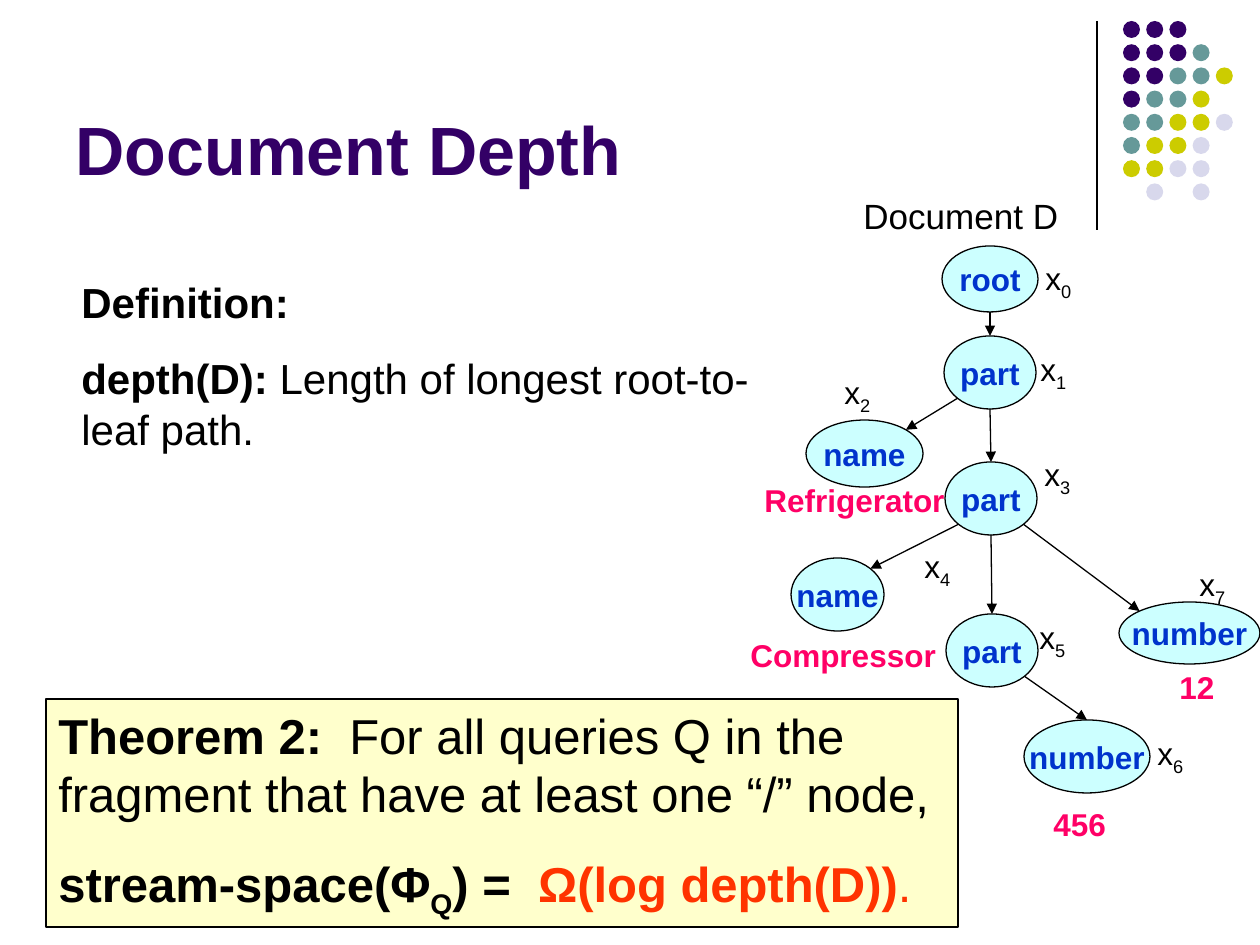
from lxml.etree import SubElement
from pptx import Presentation
from pptx.dml.color import RGBColor
from pptx.enum.shapes import MSO_CONNECTOR as Connector, MSO_SHAPE as Shape
from pptx.enum.text import MSO_ANCHOR as Anchor, MSO_AUTO_SIZE as AutoSize, PP_ALIGN as Align
from pptx.oxml.ns import qn
from pptx.util import Pt

EMU_PER_PX = 914400 / 126
DIAGONAL = 0.7071

BLACK = RGBColor(0x00, 0x00, 0x00)
PURPLE = RGBColor(0x33, 0x00, 0x66)
TEAL = RGBColor(0x66, 0x99, 0x99)
OLIVE = RGBColor(0xCC, 0xCC, 0x00)
LAVENDER = RGBColor(0xD8, 0xD8, 0xEC)
CYAN = RGBColor(0xCC, 0xFF, 0xFF)
BLUE = RGBColor(0x00, 0x33, 0xCC)
PINK = RGBColor(0xFF, 0x00, 0x66)
CREAM = RGBColor(0xFF, 0xFF, 0xCC)
RED = RGBColor(0xFF, 0x33, 0x00)

DOT_COLORS = {"P": PURPLE, "T": TEAL, "O": OLIVE, "L": LAVENDER}
DOT_ROWS = ["PPP", "PPPT", "PPTTO", "PTTO", "TTOOL", "TOOL", "OOLL", ".L.L"]

NODES = {
    "x0": ("root", 204, 58, 96, 66),
    "x1": ("part", 206, 148, 92, 73),
    "x2": ("name", 68, 232, 117, 67),
    "x3": ("part", 207, 274, 92, 73),
    "x4": ("name", 53, 370, 93, 73),
    "x5": ("part", 208, 426, 92, 73),
    "x6": ("number", 286, 532, 126, 73),
    "x7": ("number", 381, 414, 141, 62),
}
NODE_LABELS = {
    "x0": (295, 65), "x1": (290, 156), "x2": (94, 179), "x3": (294, 261),
    "x4": (174, 353), "x5": (289, 424), "x6": (407, 540), "x7": (449, 371),
}
VALUES = [
    ("Refrigerator", 14, 287, 219),
    ("Compressor", 0, 442, 212),
    ("12", 429, 474, 93),
    ("456", 303, 611, 93),
]
TOP, BOTTOM = (0, -1), (0, 1)
TOP_LEFT, TOP_RIGHT = (-DIAGONAL, -DIAGONAL), (DIAGONAL, -DIAGONAL)
BOTTOM_LEFT, BOTTOM_RIGHT = (-DIAGONAL, DIAGONAL), (DIAGONAL, DIAGONAL)
EDGES = [
    ("x0", BOTTOM, "x1", TOP),
    ("x1", BOTTOM_LEFT, "x2", TOP_RIGHT),
    ("x1", BOTTOM, "x3", TOP),
    ("x3", BOTTOM_LEFT, "x4", TOP_RIGHT),
    ("x3", BOTTOM, "x5", TOP),
    ("x3", BOTTOM_RIGHT, "x7", TOP_LEFT),
    ("x5", BOTTOM_RIGHT, "x6", TOP),
]


def px(*lengths):
    """Turn pixel lengths into EMU."""
    return [round(length * EMU_PER_PX) for length in lengths]


def format_paragraph(paragraph, size, color, bold=None, before=0):
    """Set the font and spacing shared by all runs of a paragraph."""
    paragraph.space_before = Pt(before)
    font = paragraph.font
    font.name, font.size, font.bold = "Arial", Pt(size), bold
    font.color.rgb = color


def add_run(paragraph, text, bold=None, color=None, subscript=False):
    """Append a run with its own differences from the paragraph."""
    run = paragraph.add_run()
    run.text = text
    if bold is not None:
        run.font.bold = bold
    if color is not None:
        run.font.color.rgb = color
    if subscript:
        run.font._element.set("baseline", "-25000")


def add_text(slide, box, size, color=BLACK, bold=None, before=0, lines=()):
    """Add a wrapped text box whose lines are lists of run arguments."""
    shape = slide.shapes.add_textbox(*px(*box))
    frame = shape.text_frame
    frame.word_wrap = True
    for index, runs in enumerate(lines):
        paragraph = frame.add_paragraph() if index else frame.paragraphs[0]
        format_paragraph(paragraph, size, color, bold, before)
        for run in runs:
            add_run(paragraph, *run)
    return shape


def add_ellipse(shapes, box, fill):
    """Add a filled ellipse without shadow or outline."""
    shape = shapes.add_shape(Shape.OVAL, *px(*box))
    shape.shadow.inherit = False
    shape.fill.solid()
    shape.fill.fore_color.rgb = fill
    shape.line.fill.background()
    return shape


def outline(line):
    """Give a line the thin black stroke."""
    line.color.rgb = BLACK
    line.width = Pt(0.75)


def add_line(slide, start, end, arrow=False):
    """Add a straight line, optionally with an arrowhead at its end."""
    connector = slide.shapes.add_connector(Connector.STRAIGHT, *px(*start, *end))
    outline(connector.line)
    if arrow:
        SubElement(connector.line._get_or_add_ln(), qn("a:tailEnd"), type="triangle")
    SubElement(connector._element.spPr, qn("a:effectLst"))


def add_ornament(slide, left, top):
    """Draw the vertical rule and the grid of coloured dots."""
    add_line(slide, (left, top), (left, top + 209))
    group = slide.shapes.add_group_shape()
    for row, codes in enumerate(DOT_ROWS):
        for column, code in enumerate(codes):
            if code in DOT_COLORS:
                box = (left + 26 + 23.2 * column, top + 23.2 * row, 17, 17)
                add_ellipse(group.shapes, box, DOT_COLORS[code])


def place_title(slide, box, text):
    """Move and format the title placeholder."""
    title = slide.shapes.title
    title.left, title.top, title.width, title.height = px(*box)
    frame = title.text_frame
    frame.text = text
    frame.word_wrap = True
    frame.auto_size = AutoSize.NONE
    frame.vertical_anchor = Anchor.BOTTOM
    paragraph = frame.paragraphs[0]
    paragraph.alignment = Align.LEFT
    format_paragraph(paragraph, 39, PURPLE, True)


def add_tree(slide, left, top):
    """Draw the document tree with its nodes, edges and labels."""
    def site(key, direction):
        """Find the point of a node's outline in a direction."""
        _, x, y, width, height = NODES[key]
        return (left + x + width / 2 * (1 + direction[0]),
                top + y + height / 2 * (1 + direction[1]))

    for text, x, y, width, height in NODES.values():
        node = add_ellipse(slide.shapes, (left + x, top + y, width, height), CYAN)
        outline(node.line)
        frame = node.text_frame
        frame.text = text
        frame.word_wrap = False
        frame.vertical_anchor = Anchor.MIDDLE
        paragraph = frame.paragraphs[0]
        paragraph.alignment = Align.CENTER
        format_paragraph(paragraph, 18, BLUE, True)
    for parent, start, child, end in EDGES:
        add_line(slide, site(parent, start), site(child, end), arrow=True)
    for (letter, digit), (x, y) in NODE_LABELS.items():
        add_text(slide, (left + x, top + y, 73, 55), 18, before=11.2,
                 lines=[[(letter,), (digit, None, None, True)]])
    for text, x, y, width in VALUES:
        add_text(slide, (left + x, top + y, width, 50), 18, PINK, True, 11.2, [[(text,)]])
    add_text(slide, (left + 113, top, 234, 55), 20, before=12.5, lines=[[("Document D",)]])


def add_theorem(slide, box):
    """Add the framed theorem."""
    shape = add_text(slide, box, 28, bold=True, before=17.5, lines=[
        [("Theorem 2:  ",),
         ("For all queries Q in the fragment that have at least one “/” node,", False)],
        [("stream-space(Φ",), ("Q", None, None, True), (") =  ",),
         ("Ω(log depth(D))", None, RED), (".", False, RED)],
    ])
    shape.fill.solid()
    shape.fill.fore_color.rgb = CREAM
    outline(shape.line)


def main():
    """Build and save the slide."""
    presentation = Presentation()
    presentation.slide_width, presentation.slide_height = px(1260, 945)
    slide = presentation.slides.add_slide(presentation.slide_layouts[5])
    add_ornament(slide, 1097, 21)
    place_title(slide, (63, 16, 1040, 179), "Document Depth")
    add_text(slide, (69, 270, 706, 190), 24, bold=True, before=15, lines=[
        [("Definition:",)],
        [("depth(D):",), (" Length of longest root-to-leaf path.", False)],
    ])
    add_tree(slide, 738, 188)
    add_theorem(slide, (46, 699, 912, 228))
    presentation.save("out.pptx")


if __name__ == "__main__":
    main()
